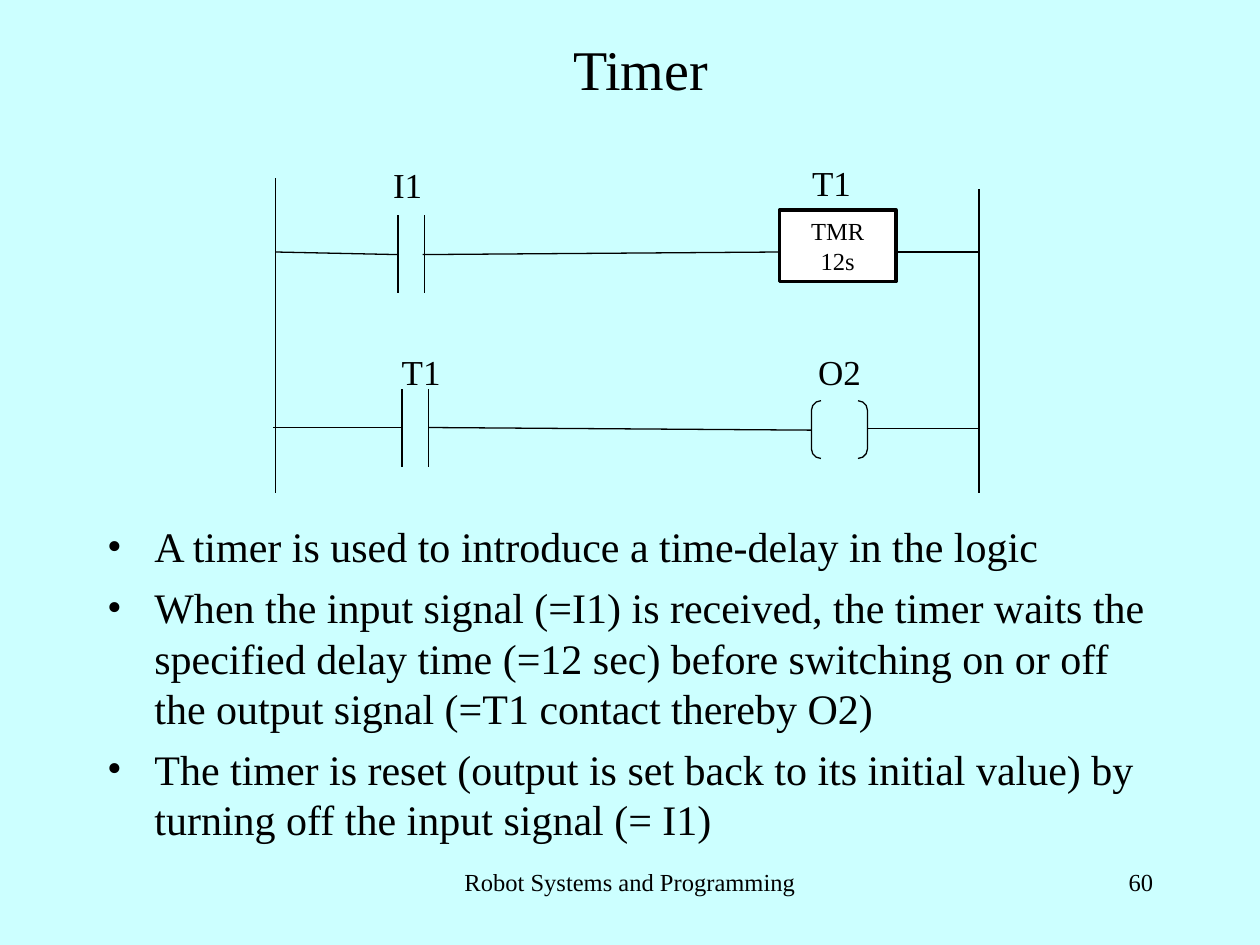
from lxml.etree import SubElement
from pptx import Presentation
from pptx.dml.color import RGBColor
from pptx.enum.shapes import MSO_CONNECTOR, MSO_SHAPE
from pptx.enum.text import MSO_ANCHOR, MSO_AUTO_SIZE, PP_ALIGN
from pptx.oxml.ns import qn
from pptx.util import Pt

BLACK = "000000"
WHITE = "FFFFFF"
PALE_CYAN = "CCFFFF"
FONT = "Times New Roman"
POINTS = [
    "A timer is used to introduce a time-delay in the logic",
    "When the input signal (=I1) is received, the timer waits the specified "
    "delay time (=12 sec) before switching on or off the output signal "
    "(=T1 contact thereby O2)",
    "The timer is reset (output is set back to its initial value) by turning "
    "off the input signal (= I1)",
]


def colour(value):
    return RGBColor.from_string(value)


def place(shape, box):
    shape.left, shape.top, shape.width, shape.height = [Pt(side) for side in box]


def write(frame, lines, size, align=PP_ALIGN.LEFT):
    for index, line in enumerate(lines):
        para = frame.paragraphs[0] if index == 0 else frame.add_paragraph()
        para.alignment = align
        span = para.add_run()
        span.text = line
        span.font.size = Pt(size)
        span.font.name = FONT
        span.font.color.rgb = colour(BLACK)


def add_label(page, text, box, size=20, align=PP_ALIGN.LEFT):
    label = page.shapes.add_textbox(*[Pt(side) for side in box])
    label.text_frame.word_wrap = True
    write(label.text_frame, [text], size, align)


def add_wire(page, x1, y1, x2, y2):
    wire = page.shapes.add_connector(
        MSO_CONNECTOR.STRAIGHT, Pt(x1), Pt(y1), Pt(x2), Pt(y2))
    wire.line.color.rgb = colour(BLACK)
    wire.line.width = Pt(0.75)
    SubElement(wire._element.spPr, qn("a:effectLst"))


def add_block(page, kind, box, line_width):
    block = page.shapes.add_shape(kind, *[Pt(side) for side in box])
    block.shadow.inherit = False
    block.fill.background()
    block.line.color.rgb = colour(BLACK)
    block.line.width = Pt(line_width)
    return block


def add_title(page, box):
    title = page.shapes.title
    place(title, box)
    title.text_frame.vertical_anchor = MSO_ANCHOR.MIDDLE
    write(title.text_frame, ["Timer"], 32, PP_ALIGN.CENTER)


def add_points(page, box):
    body = page.placeholders[1]
    place(body, box)
    frame = body.text_frame
    frame.auto_size = MSO_AUTO_SIZE.NONE
    write(frame, POINTS, 24)
    for para in frame.paragraphs:
        para.space_before = Pt(6)
        properties = para._p.get_or_add_pPr()
        properties.set("marL", str(Pt(27)))
        properties.set("indent", str(Pt(-27)))
        SubElement(properties, qn("a:buFont")).set("typeface", FONT)
        SubElement(properties, qn("a:buChar")).set("char", "•")


def add_contact(page, left, top):
    for x in (left, left + 15):
        add_wire(page, x, top, x, top + 44.6)


def add_input_rung(page, left, right, top):
    middle = top + 21
    add_contact(page, left + 70, top)
    add_wire(page, left, middle, left + 69.5, middle + 1.5)
    add_wire(page, left + 84, middle + 1.5, left + 288, middle)
    add_wire(page, left + 354, middle, right, middle)
    timer = add_block(page, MSO_SHAPE.RECTANGLE, (left + 288, top - 3, 66.5, 41), 2)
    timer.fill.solid()
    timer.fill.fore_color.rgb = colour(WHITE)
    timer.text_frame.vertical_anchor = MSO_ANCHOR.TOP
    write(timer.text_frame, ["TMR", "12s"], 14, PP_ALIGN.CENTER)
    add_label(page, "I1", (left + 60, top - 33, 54, 31.5))
    add_label(page, "T1", (left + 299.5, top - 34.5, 55.5, 31.5))


def add_output_rung(page, left, right, top):
    middle = top + 21.8
    add_contact(page, left + 72.3, top)
    add_wire(page, left - 1.5, middle, left + 72.3, middle)
    add_wire(page, left + 87.3, middle, left + 306.2, middle + 1.5)
    add_wire(page, left + 338.5, middle + 0.5, right, middle + 0.5)
    coil = add_block(page, MSO_SHAPE.DOUBLE_BRACKET, (left + 306.2, top + 6.5, 32, 33), 0.75)
    coil.adjustments[0] = 0.17
    add_label(page, "T1", (left + 65, top - 26, 55.5, 31.5))
    add_label(page, "O2", (left + 303, top - 26, 45, 31.5))


def add_ladder(page, box):
    left, top, width, height = box
    right = left + width
    add_wire(page, left, top, left, top + height)
    add_wire(page, right, top + 6, right, top + height)
    add_input_rung(page, left, right, top + 21)
    add_output_rung(page, left, right, top + 120.5)


def add_footer(page, top):
    add_label(page, "Robot Systems and Programming", (246, top, 228, 36), 14, PP_ALIGN.CENTER)
    add_label(page, "60", (516, top, 150, 36), 14, PP_ALIGN.RIGHT)


def main():
    deck = Presentation()
    deck.slide_width, deck.slide_height = Pt(720), Pt(540)
    page = deck.slides.add_slide(deck.slide_layouts[1])
    page.background.fill.solid()
    page.background.fill.fore_color.rgb = colour(PALE_CYAN)
    add_title(page, (60, 12, 612, 54))
    add_points(page, (54, 294, 612, 210))
    add_ladder(page, (157.5, 102, 402, 180))
    add_footer(page, 492)
    deck.save("out.pptx")


if __name__ == "__main__":
    main()
